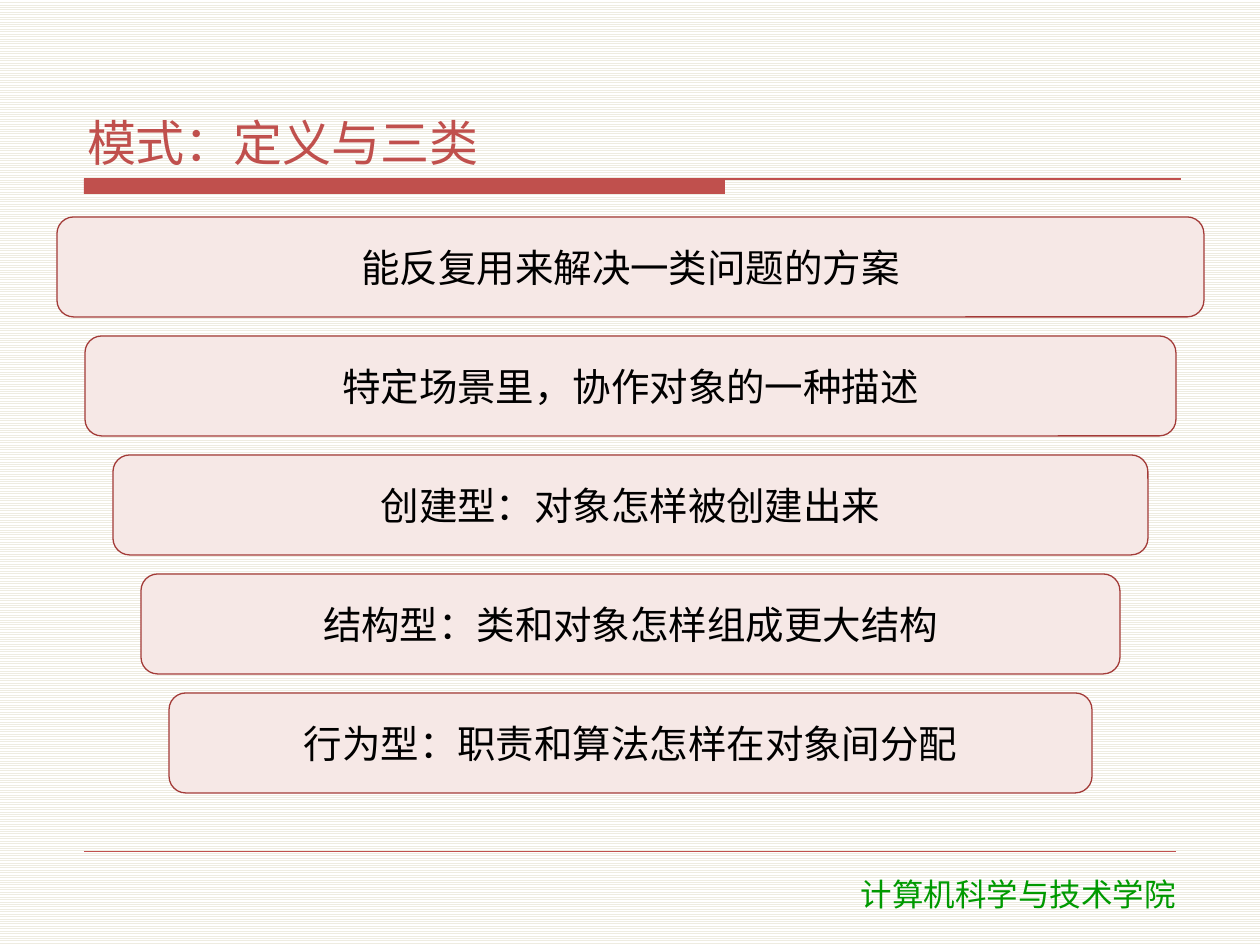
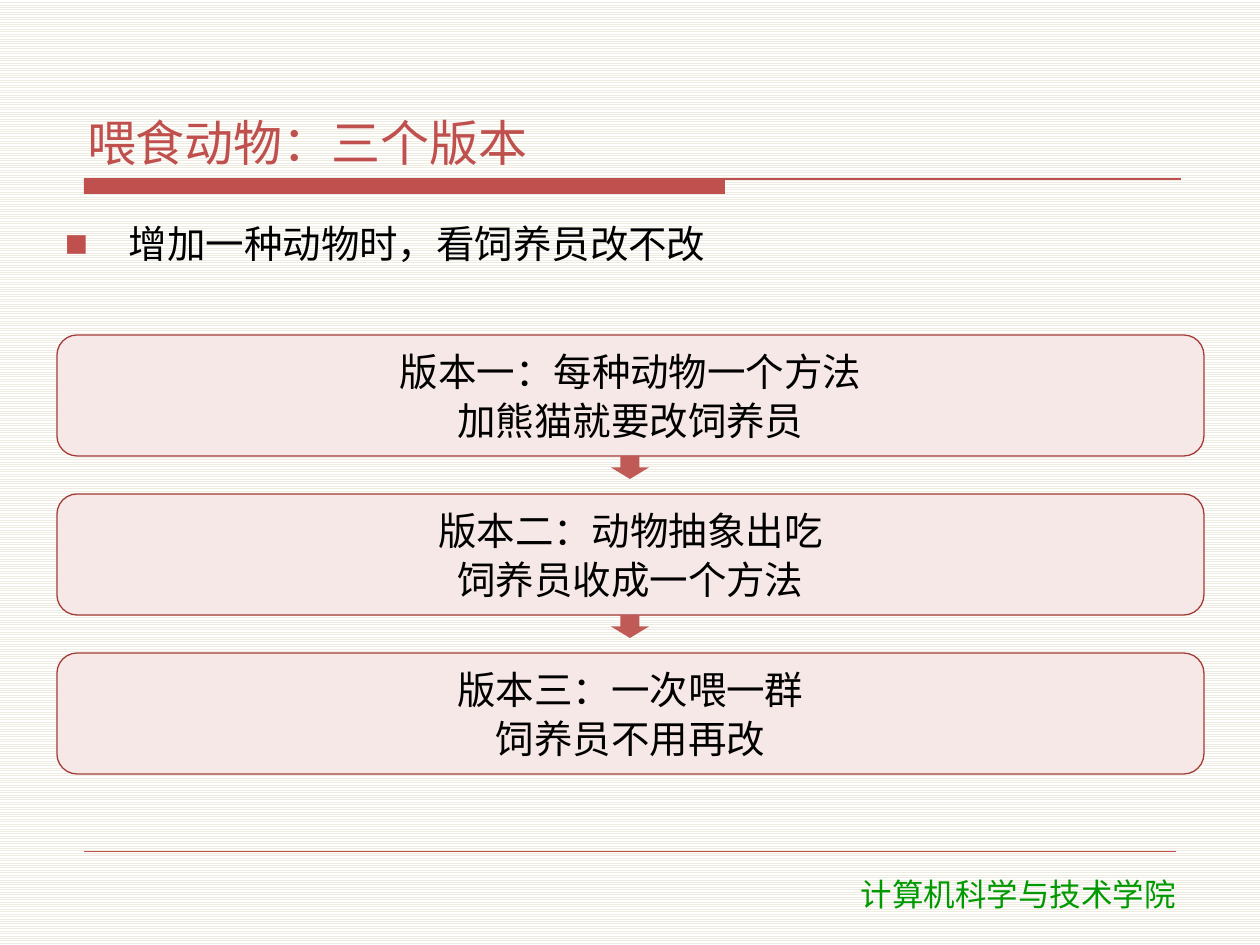
import pptx
import pptx.dml.color
import pptx.enum.dml
import pptx.enum.shapes
import pptx.enum.text
import pptx.oxml
import pptx.oxml.ns
import pptx.util

RGBColor = pptx.dml.color.RGBColor
SHAPE = pptx.enum.shapes.MSO_SHAPE
ALIGN = pptx.enum.text.PP_ALIGN
ANCHOR = pptx.enum.text.MSO_ANCHOR

RED = RGBColor(0xC0, 0x50, 0x4D)
DARK_RED = RGBColor(0xA3, 0x3B, 0x38)
ARROW_RED = RGBColor(0xC0, 0x5A, 0x56)
PINK = RGBColor(0xF6, 0xE8, 0xE6)
GREEN = RGBColor(0x00, 0x99, 0x00)
BLACK = RGBColor(0x00, 0x00, 0x00)
WHITE = RGBColor(0xFF, 0xFF, 0xFF)
CREAM = RGBColor(0xEE, 0xEC, 0xE1)

TEXT_FONT = "Noto Sans CJK SC"
FOOTER_FONT = "DejaVu Sans"
TITLE_ONLY, TITLE_AND_BODY = 5, 1
PAGE_WIDTH, PAGE_HEIGHT = 1260, 945
MARGIN_LEFT, CONTENT_TOP, CONTENT_WIDTH = 57, 217, 1147


def px(length):
    return pptx.util.Emu(round(length * 914400 / 126))


def place(shape, left, top, width, height):
    shape.left, shape.top = px(left), px(top)
    shape.width, shape.height = px(width), px(height)


def format_text(frame, size, color, align, font=TEXT_FONT):
    for para in frame.paragraphs:
        para.alignment = align
        para.space_before = pptx.util.Pt(0)
        para.space_after = pptx.util.Pt(2)
        for span in para.runs:
            span.font.size = pptx.util.Pt(size)
            span.font.name = font
            span.font.color.rgb = color
            east_asian = pptx.oxml.parse_xml(
                f'<a:ea {pptx.oxml.ns.nsdecls("a")} typeface="{font}"/>')
            span.font._element.append(east_asian)


def set_frame(frame, anchor):
    frame.word_wrap = True
    frame.auto_size = pptx.enum.text.MSO_AUTO_SIZE.NONE
    frame.vertical_anchor = anchor
    frame.margin_left = frame.margin_right = px(8)
    frame.margin_top = frame.margin_bottom = px(3)


def add_filled_shape(page, kind, left, top, width, height, color):
    shape = page.shapes.add_shape(kind, px(left), px(top), px(width), px(height))
    shape.shadow.inherit = False
    shape.fill.solid()
    shape.fill.fore_color.rgb = color
    shape.line.fill.background()
    return shape


def add_rule(page, left, right, y, weight):
    rule = page.shapes.add_connector(
        pptx.enum.shapes.MSO_CONNECTOR.STRAIGHT, px(left), px(y), px(right), px(y))
    rule.line.color.rgb = RED
    rule.line.width = pptx.util.Pt(weight)
    rule._element.spPr.append(
        pptx.oxml.parse_xml(f'<a:effectLst {pptx.oxml.ns.nsdecls("a")}/>'))


def add_footer(page, text):
    box = page.shapes.add_textbox(px(765), px(869), px(507), px(50))
    box.text_frame.word_wrap = True
    box.text_frame.text = text
    format_text(box.text_frame, 18, GREEN, ALIGN.CENTER, FOOTER_FONT)


def add_page(deck, layout, title):
    page = deck.slides.add_slide(deck.slide_layouts[layout])
    add_filled_shape(page, SHAPE.RECTANGLE, 84, 179, 641, 15, RED)
    add_rule(page, 84, 1181, 179, 0.75)
    add_rule(page, 84, 1176, 851, 0.25)
    add_footer(page, "计算机科学与技术学院")
    heading = page.shapes.title
    place(heading, 79, 42, 1103, 132)
    set_frame(heading.text_frame, ANCHOR.BOTTOM)
    heading.text_frame.text = title
    format_text(heading.text_frame, 28, RED, ALIGN.LEFT)
    return page


def add_bullet(para):
    properties = para._p.get_or_add_pPr()
    properties.set("marL", str(px(64)))
    properties.set("indent", str(px(-64)))
    namespace = pptx.oxml.ns.nsdecls("a")
    for xml in (f'<a:buClr {namespace}><a:srgbClr val="{RED}"/></a:buClr>',
                f'<a:buChar {namespace} char="■"/>'):
        properties.append(pptx.oxml.parse_xml(xml))


def fill_body(page, text):
    body = page.placeholders[1]
    place(body, MARGIN_LEFT, CONTENT_TOP, CONTENT_WIDTH, 108)
    set_frame(body.text_frame, ANCHOR.TOP)
    body.text_frame.text = text
    add_bullet(body.text_frame.paragraphs[0])
    format_text(body.text_frame, 22, BLACK, ALIGN.LEFT)


def add_card(page, left, top, width, height, text):
    card = add_filled_shape(page, SHAPE.ROUNDED_RECTANGLE, left, top, width, height, PINK)
    card.line.color.rgb = DARK_RED
    card.line.width = pptx.util.Pt(0.75)
    set_frame(card.text_frame, ANCHOR.MIDDLE)
    card.text_frame.text = text
    format_text(card.text_frame, 22, BLACK, ALIGN.CENTER)


def add_funnel(page, texts):
    height, step, inset = 100, 119, 28
    for index, text in enumerate(texts):
        add_card(page, MARGIN_LEFT + index * inset, CONTENT_TOP + index * step,
                 CONTENT_WIDTH - 2 * index * inset, height, text)


def add_versions(page, texts):
    first_top, height, step = 335, 121, 159
    arrow_width, arrow_height = 38, 23
    for index, text in enumerate(texts):
        top = first_top + index * step
        add_card(page, MARGIN_LEFT, top, CONTENT_WIDTH, height, text)
        if index < len(texts) - 1:
            add_filled_shape(page, SHAPE.DOWN_ARROW, (PAGE_WIDTH - arrow_width) / 2,
                             top + height, arrow_width, arrow_height, ARROW_RED)


def set_background(deck):
    fill = deck.slide_master.background.fill
    fill.patterned()
    fill.pattern = pptx.enum.dml.MSO_PATTERN.LIGHT_HORIZONTAL
    fill.fore_color.rgb = CREAM
    fill.back_color.rgb = WHITE


def main():
    deck = pptx.Presentation()
    deck.slide_width, deck.slide_height = px(PAGE_WIDTH), px(PAGE_HEIGHT)
    set_background(deck)

    patterns = add_page(deck, TITLE_ONLY, "模式：定义与三类")
    add_funnel(patterns, [
        "能反复用来解决一类问题的方案",
        "特定场景里，协作对象的一种描述",
        "创建型：对象怎样被创建出来",
        "结构型：类和对象怎样组成更大结构",
        "行为型：职责和算法怎样在对象间分配",
    ])

    feeding = add_page(deck, TITLE_AND_BODY, "喂食动物：三个版本")
    fill_body(feeding, "增加一种动物时，看饲养员改不改")
    add_versions(feeding, [
        "版本一：每种动物一个方法\n加熊猫就要改饲养员",
        "版本二：动物抽象出吃\n饲养员收成一个方法",
        "版本三：一次喂一群\n饲养员不用再改",
    ])

    deck.save("out.pptx")


if __name__ == "__main__":
    main()
